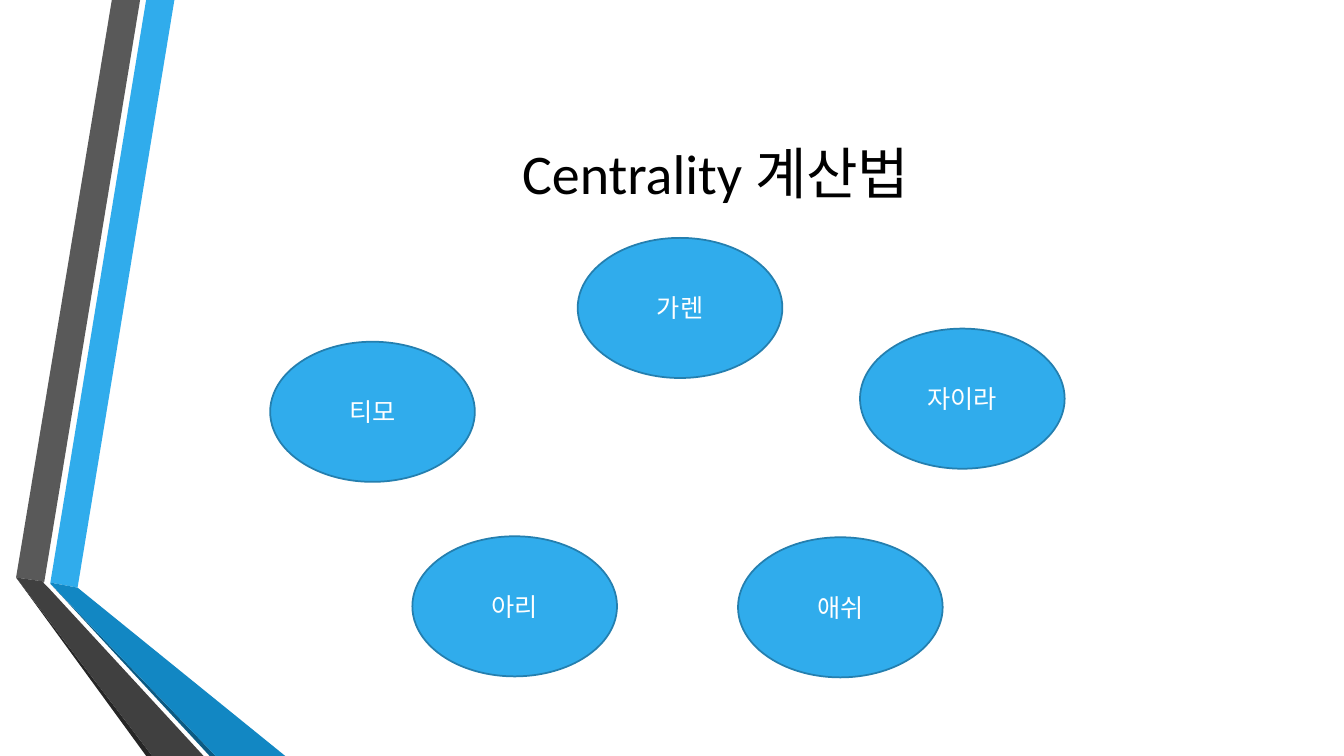
from dataclasses import dataclass

from pptx import Presentation
from pptx.dml.color import RGBColor
from pptx.enum.shapes import MSO_SHAPE
from pptx.enum.text import MSO_ANCHOR, PP_ALIGN
from pptx.util import Pt

PX = 9144  # EMU in one px, 100 px to the inch


@dataclass(frozen=True)
class Theme:
    font: str = "Calibri"
    title_size: int = 40
    node_size: int = 18
    line_width: float = 1.25
    title: str = "000000"
    node_text: str = "FFFFFF"
    node_fill: str = "30ACEC"
    node_line: str = "247FAF"


THEME = Theme()

# Ribbon faces: colour, then corners in px
RIBBON_FACES = [
    ("30ACEC", [(50, 578), (77, 583), (173, 0), (145, 0)]),
    ("595959", [(139, 0), (111, 0), (16, 573), (44, 577)]),
    ("262626", [(16, 573), (145, 750), (151, 750)]),
    ("0C5A82", [(50, 579), (208, 750), (214, 750)]),
    ("1287C3", [(50, 579), (214, 750), (283, 750), (77, 583), (50, 578)]),
    ("404040", [(202, 750), (48, 583), (43, 578), (44, 577), (16, 573),
                (151, 750)]),
]

NODE_W, NODE_H = 203, 139
# Nodes: name, then left and top within the graph box
NODES = [
    ("가렌", 305, 0),
    ("티모", 0, 103),
    ("애쉬", 464, 297),
    ("아리", 141, 296),
    ("자이라", 585, 90),
]


def rgb(color):
    return RGBColor.from_string(color)


def write_centred(tf, text, size, color):
    tf.word_wrap = True
    tf.vertical_anchor = MSO_ANCHOR.MIDDLE
    p = tf.paragraphs[0]
    p.alignment = PP_ALIGN.CENTER
    r = p.add_run()
    r.text = text
    r.font.name = THEME.font
    r.font.size = Pt(size)
    r.font.color.rgb = rgb(color)


def add_ribbon(s, left, top):
    for color, (start, *rest) in RIBBON_FACES:
        builder = s.shapes.build_freeform(*start, scale=PX)
        builder.add_line_segments(rest, close=True)
        sp = builder.convert_to_shape(left * PX, top * PX)
        sp.shadow.inherit = False
        sp.fill.solid()
        sp.fill.fore_color.rgb = rgb(color)
        sp.line.fill.background()


def add_title(s, text, left, top, width, height):
    sp = s.shapes.title
    sp.left, sp.top = left * PX, top * PX
    sp.width, sp.height = width * PX, height * PX
    write_centred(sp.text_frame, text, THEME.title_size, THEME.title)


def add_graph(s, left, top):
    for name, x, y in NODES:
        sp = s.shapes.add_shape(MSO_SHAPE.OVAL, (left + x) * PX,
                                (top + y) * PX, NODE_W * PX, NODE_H * PX)
        sp.shadow.inherit = False
        sp.fill.solid()
        sp.fill.fore_color.rgb = rgb(THEME.node_fill)
        sp.line.color.rgb = rgb(THEME.node_line)
        sp.line.width = Pt(THEME.line_width)
        write_centred(sp.text_frame, name, THEME.node_size, THEME.node_text)


def main():
    prs = Presentation()
    prs.slide_width, prs.slide_height = 1333 * PX, 750 * PX
    title_only = prs.slide_layouts[5]
    s = prs.slides.add_slide(title_only)
    add_ribbon(s, 0, 0)
    add_title(s, "Centrality 계산법", 162, 75, 1096, 192)
    add_graph(s, 268, 236)
    prs.save("out.pptx")


if __name__ == "__main__":
    main()
